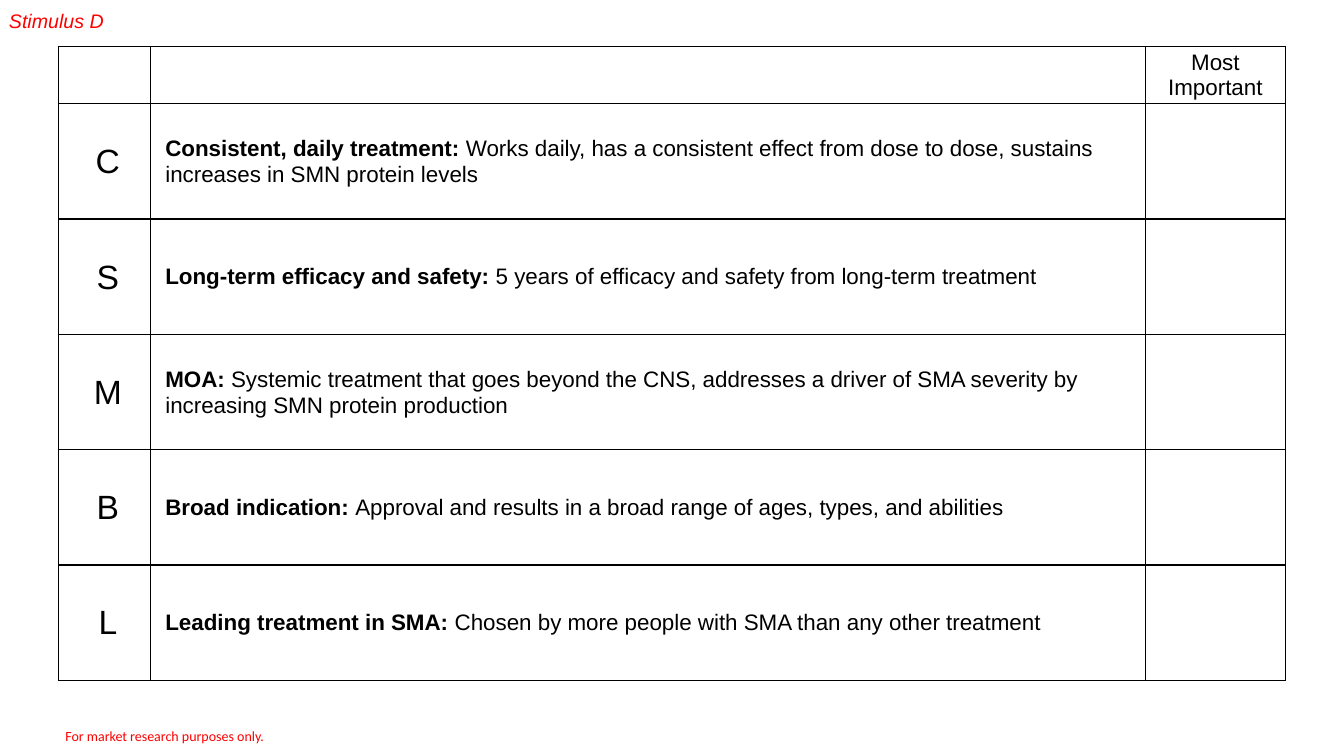
from dataclasses import dataclass

from lxml.etree import SubElement
from pptx import Presentation
from pptx.dml.color import RGBColor as Rgb
from pptx.enum.text import MSO_ANCHOR as Anchor, PP_ALIGN as Align
from pptx.oxml import parse_xml
from pptx.oxml.ns import qn
from pptx.util import Inches, Pt


@dataclass(frozen=True)
class Theme:
    """Hold the colours, fonts and type sizes of the slide."""
    ink: str = "000000"
    paper: str = "FFFFFF"
    alert: str = "FF0000"
    font: str = "Arial"
    small: str = "Calibri"
    letter: int = 24
    body: int = 16
    label: int = 14
    note: int = 10


THEME = Theme()
WIDTHS = (0.91, 9.87, 1.39)
HEAD, TALL = 0.57, 6.29
CLAIMS = (
    ("C", "Consistent, daily treatment: ",
     "Works daily, has a consistent effect from dose to dose, "
     "sustains increases in SMN protein levels"),
    ("S", "Long-term efficacy and safety: ",
     "5 years of efficacy and safety from long-term treatment"),
    ("M", "MOA: ",
     "Systemic treatment that goes beyond the CNS, addresses a driver of "
     "SMA severity by increasing SMN protein production"),
    ("B", "Broad indication: ",
     "Approval and results in a broad range of ages, types, and abilities"),
    ("L", "Leading treatment in SMA: ",
     "Chosen by more people with SMA than any other treatment"),
)


def set_all(item, form):
    """Set each attribute named in a dict of format values."""
    for name, value in form.items():
        setattr(item, name, value)


def add_run(para, text, size, color=THEME.ink, **form):
    """Add a run of text with its size, colour and font."""
    run = para.add_run()
    run.text = text
    set_all(run.font, {"name": THEME.font, "size": Pt(size), **form})
    run.font.color.rgb = Rgb.from_string(color)


def add_note(slide, box, text, size, inset, **form):
    """Add a red text box at the given place."""
    frame = slide.shapes.add_textbox(*map(Inches, box)).text_frame
    set_all(frame, {
        "word_wrap": True,
        "margin_left": Inches(0.1), "margin_right": Inches(0.1),
        "margin_top": Inches(inset), "margin_bottom": Inches(inset),
    })
    add_run(frame.paragraphs[0], text, size, THEME.alert, **form)


def rule_cell(cell):
    """Draw a thin line on all four sides of a cell."""
    props = cell._tc.get_or_add_tcPr()
    space = "http://schemas.openxmlformats.org/drawingml/2006/main"
    for spot, side in enumerate("LRTB"):
        line = parse_xml(f'<a:ln{side} xmlns:a="{space}" w="{Pt(1)}"/>')
        fill = SubElement(line, qn("a:solidFill"))
        SubElement(fill, qn("a:srgbClr"), val=THEME.ink)
        props.insert(spot, line)


def pad_cell(cell, side, top):
    """Centre a cell's text upright and set its margins."""
    set_all(cell, {
        "vertical_anchor": Anchor.MIDDLE,
        "margin_left": Inches(side), "margin_right": Inches(side),
        "margin_top": Inches(top), "margin_bottom": Inches(top),
    })


def fill_cell(cell, parts, size, align):
    """Write text parts, each with its bold flag, in a claim cell."""
    pad_cell(cell, 0.08, 0)
    para = cell.text_frame.paragraphs[0]
    set_all(para, {"alignment": align, "line_spacing": 1.04})
    para._p.get_or_add_pPr().set("marL", str(Inches(0.07)))
    for text, bold in parts:
        add_run(para, text, size, bold=bold)


def add_grid(slide):
    """Add the ruled table of claims with its header."""
    count = len(CLAIMS)
    grid = slide.shapes.add_table(
        count + 1, len(WIDTHS), Inches(0.58), Inches(0.46),
        Inches(sum(WIDTHS)), Inches(TALL)).table
    set_all(grid, {"first_row": False, "horz_banding": False})
    for col, width in zip(grid.columns, WIDTHS):
        col.width = Inches(width)
    for row in grid.rows:
        row.height = Inches((TALL - HEAD) / count)
    grid.rows[0].height = Inches(HEAD)
    for cell in grid.iter_cells():
        cell.fill.background()
        rule_cell(cell)

    head = grid.cell(0, 2)
    pad_cell(head, 0.07, 0.03)
    head.fill.solid()
    head.fill.fore_color.rgb = Rgb.from_string(THEME.paper)
    para = head.text_frame.paragraphs[0]
    para.alignment = Align.CENTER
    add_run(para, "Most Important", THEME.body)

    for row, (mark, lead, text) in enumerate(CLAIMS, 1):
        fill_cell(grid.cell(row, 0), [(mark, False)],
                  THEME.letter, Align.CENTER)
        fill_cell(grid.cell(row, 1), [(lead, True), (text, False)],
                  THEME.body, Align.LEFT)


def main():
    """Build the slide and save it."""
    deck = Presentation()
    set_all(deck, {"slide_width": Inches(13.33), "slide_height": Inches(7.5)})
    slide = deck.slides.add_slide(deck.slide_layouts[6])
    add_grid(slide)
    add_note(slide, (0.55, 7.17, 2.39, 0.27),
             "For market research purposes only.", THEME.note, 0.05,
             name=THEME.small)
    add_note(slide, (-0.01, -0.01, 2.32, 0.27), "Stimulus D",
             THEME.label, 0.1, italic=True)
    deck.save("out.pptx")


if __name__ == "__main__":
    main()
